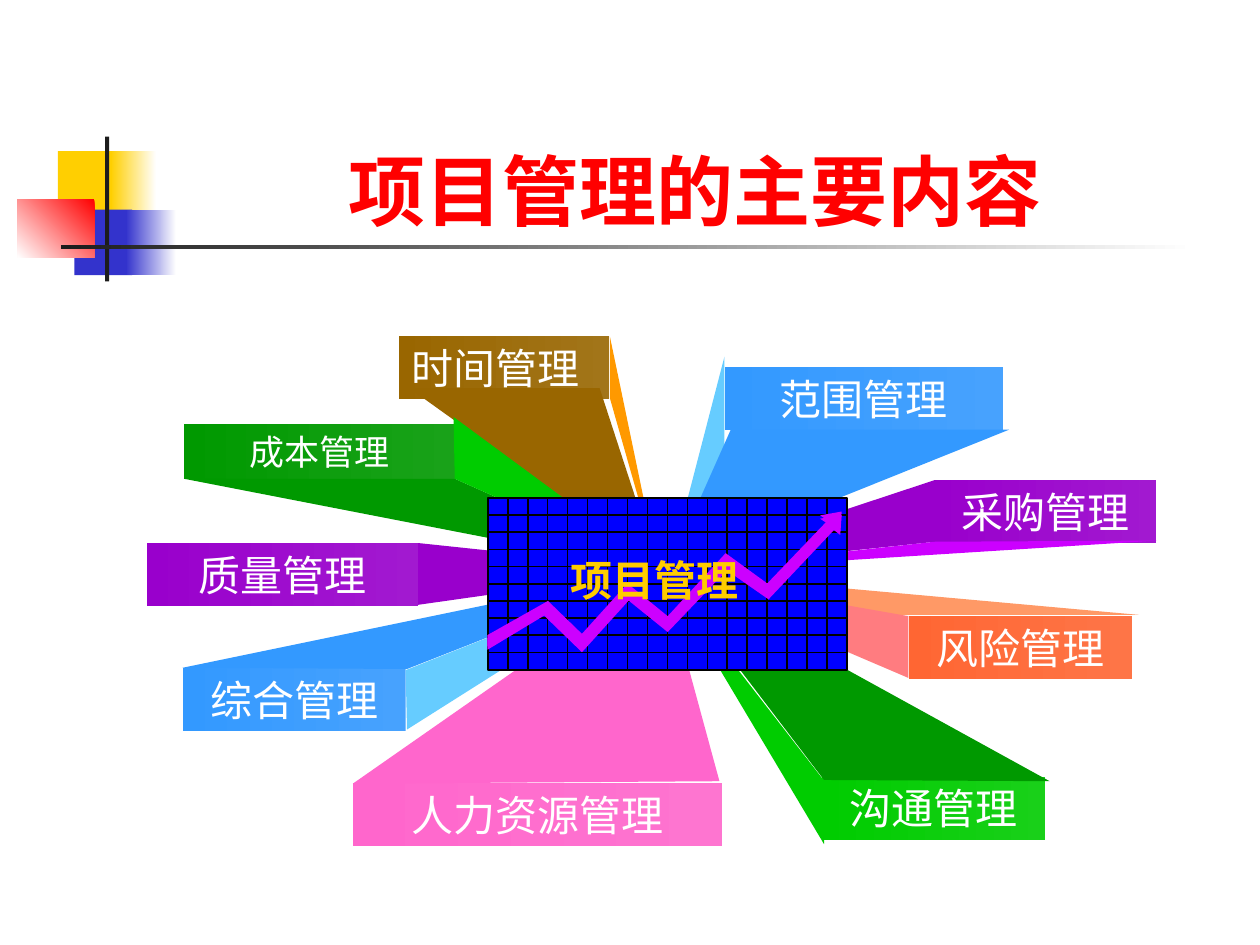
import pptx
import pptx.dml.color
import pptx.enum.lang
import pptx.enum.shapes
import pptx.enum.text
import pptx.util
from lxml import etree

Pt = pptx.util.Pt
ALIGN = pptx.enum.text.PP_ALIGN
ANCHOR = pptx.enum.text.MSO_ANCHOR
FIT = pptx.enum.text.MSO_AUTO_SIZE
RECT = pptx.enum.shapes.MSO_SHAPE.RECTANGLE
STRAIGHT = pptx.enum.shapes.MSO_CONNECTOR.STRAIGHT
CHINESE = pptx.enum.lang.MSO_LANGUAGE_ID.SIMPLIFIED_CHINESE


def paint(shape, *hues, angle=180):
    """Fill with one colour, or with a gradient between two."""
    shape.shadow.inherit = False
    shape.line.fill.background()
    if len(hues) == 1:
        shape.fill.solid()
        shape.fill.fore_color.rgb = pptx.dml.color.RGBColor.from_string(hues[0])
        return
    shape.fill.gradient()
    shape.fill.gradient_angle = angle
    for stop, hue in zip(shape.fill.gradient_stops, hues):
        stop.color.rgb = pptx.dml.color.RGBColor.from_string(hue)


def write(shape, text, size, face, hue, bold=False, align=ALIGN.CENTER):
    para = shape.text_frame.paragraphs[0]
    para.alignment = align
    run = para.add_run()
    run.text = text
    run.font.size = Pt(size)
    run.font.name = face
    run.font.bold = bold
    run.font.language_id = CHINESE
    run.font.color.rgb = pptx.dml.color.RGBColor.from_string(hue)


deck = pptx.Presentation()
deck.slide_width, deck.slide_height = Pt(720), Pt(540)
slide = deck.slides.add_slide(deck.slide_layouts[5])
shapes = slide.shapes

# Corner squares and the rule under the title
decor = [
    (33.1, 86.4, 34.6, 37.4, ["FFCF01"], 180),
    (63.4, 86.4, 25.9, 37.4, ["FFFFFF", "FFCF01"], 180),
    (42.5, 119.8, 33.1, 37.4, ["3333CC"], 180),
    (72, 119.8, 28.8, 37.4, ["FFFFFF", "3333CC"], 180),
    (10, 113.8, 44, 33.4, ["FF0000", "FFFFFF"], 225),
    (60, 78, 2.4, 82.8, ["1C1C1C"], 180),
    (34.8, 140.1, 648, 2.5, ["FFFFFF", "1C1C1C"], 180),
]
for x, y, w, h, hues, angle in decor:
    block = shapes.add_shape(RECT, Pt(x), Pt(y), Pt(w), Pt(h))
    paint(block, *hues, angle=angle)

title = shapes.title
title.left, title.top, title.width, title.height = Pt(90.7), Pt(48.2), Pt(613.4), Pt(90)
title.text_frame.vertical_anchor = ANCHOR.BOTTOM
write(title, "项目管理的主要内容", 44, "Lato", "FF0000", bold=True)

# Topic labels
ROMAN, SANS = "Times New Roman", "Noto Sans CJK SC"
labels = [
    ("时间管理", 228, 192.2, 120.2, "A27519", "996600", ROMAN),
    ("范围管理", 414, 210, 159.1, "47A2FE", "3399FF", ROMAN),
    ("质量管理", 84, 310.3, 154.8, "A219D0", "9900CC", ROMAN),
    ("成本管理", 105.1, 242.4, 154.8, "19A219", "009900", ROMAN),
    ("综合管理", 104.4, 382, 127.4, "47A2FE", "3399FF", ROMAN),
    ("人力资源管理", 201.6, 447.4, 211, "FE75D0", "FF66CC", ROMAN),
    ("采购管理", 533.5, 274.3, 127.4, "A219D0", "9900CC", SANS),
    ("风险管理", 519.5, 352, 127.4, "FE7547", "FF6633", SANS),
    ("沟通管理", 469.8, 443.8, 127.4, "19D019", "00CC00", ROMAN),
]
for text, x, y, w, light, dark, face in labels:
    size, h = (20, 31.2) if text == "成本管理" else (24, 36)
    label = shapes.add_shape(RECT, Pt(x), Pt(y), Pt(w), Pt(h))
    paint(label, light, dark)
    label.text_frame.word_wrap = True
    label.text_frame.auto_size = FIT.SHAPE_TO_FIT_TEXT
    label.text_frame.vertical_anchor = ANCHOR.TOP
    align = ALIGN.LEFT if text == "时间管理" else ALIGN.CENTER
    write(label, text, size, face, "FFFFFF", align=align)

# Rays from the labels to the centre, then the trend arrow
rays = [
    ("996600", [(234, 221.8), (342.7, 221.8), (375.8, 323.3)]),
    ("FF9900", [(348.5, 192.2), (348.5, 227.5), (375.8, 323.3)]),
    ("66CCFF", [(414, 203.8), (414, 258.5), (383, 323.3)]),
    ("3399FF", [(417.6, 245.5), (383, 323.3), (576.7, 245.5)]),
    ("9900CC", [(534.2, 274.3), (534.2, 309.6), (377.3, 326.2)]),
    ("CC00FF", [(661, 308.9), (377.3, 326.9), (534.2, 309.6)]),
    ("FF9966", [(379.4, 326.9), (650.9, 351.4), (487.4, 351.4)]),
    ("FF7C80", [(379.4, 327.6), (519.1, 352.1), (519.1, 387.4)]),
    ("009900", [(105.1, 273.6), (259.9, 273.6), (379.4, 326.9)]),
    ("00CC00", [(259.2, 238.3), (379.4, 326.9), (259.9, 273.6)]),
    ("9900CC", [(239, 310.3), (381.6, 325.4), (239, 345.6)]),
    ("3399FF", [(104.4, 381.6), (379.4, 324.7), (232.6, 382.3)]),
    ("66CCFF", [(377.3, 325.4), (231.8, 383), (232.6, 416.9)]),
    ("FF66CC", [(201.6, 447.8), (378, 324.7), (411.1, 446.4)]),
    ("00CC00", [(377.3, 325.4), (470.9, 482.4), (471.6, 447.1)]),
    ("009900", [(378.7, 324.7), (599.8, 446.4), (470.9, 445.7)]),
]
trend = [
    (278.6, 362.9), (313.2, 343.4), (332.6, 362.2), (358.6, 333.4), (381.6, 352.1),
    (414.7, 316.1), (438.5, 333.4), (473, 297.4), (468.7, 294.5), (481, 292.3),
    (480.2, 303.8), (476.6, 301), (439.2, 340.6), (415.4, 324), (381.6, 359.3),
    (359.3, 341.3), (332.6, 370.8), (311, 349.9), (278.6, 369.4),
]
arrows = [("CC00FF", [(x, y + drop) for x, y in trend]) for drop in (1.9, 0)]

left, top, wide, high = 278.7, 284.5, 205.4, 98.2
cols, rows = 18, 10
for hue, dots in rays + arrows:
    if dots is arrows[0][1]:
        # The gridded panel lies above the rays and below the arrow
        panel = shapes.add_shape(RECT, Pt(left), Pt(top), Pt(wide), Pt(high))
        paint(panel, "0000FF")
        grid = [(left + wide * i / cols, top, left + wide * i / cols, top + high, i * 2 == cols, 0, 2)
                for i in range(1, cols)]
        grid += [(left, top + high * i / rows, left + wide, top + high * i / rows, i * 2 == rows, 1, 3)
                 for i in range(1, rows)]
        edges = [panel]
        for x1, y1, x2, y2, mid, start, end in grid:
            rule = shapes.add_connector(STRAIGHT, Pt(x1), Pt(y1), Pt(x2), Pt(y2))
            if mid:
                rule.begin_connect(panel, start)
                rule.end_connect(panel, end)
            edges.append(rule)
        for edge in edges:
            edge.line.width = Pt(1)
            edge.line.color.rgb = pptx.dml.color.RGBColor.from_string("000000")
        for rule in edges[1:]:
            etree.SubElement(rule._element.spPr, pptx.oxml.ns.qn("a:effectLst"))
    first, *rest = [(Pt(x), Pt(y)) for x, y in dots]
    pen = shapes.build_freeform(*first)
    pen.add_line_segments(rest, close=True)
    paint(pen.convert_to_shape(), hue)

core = shapes.add_textbox(Pt(319), Pt(313.2), Pt(110.9), Pt(36))
core.text_frame.word_wrap = False
core.text_frame.auto_size = FIT.SHAPE_TO_FIT_TEXT
write(core, "项目管理", 24, SANS, "FFCC00", bold=True, align=ALIGN.LEFT)

deck.save("out.pptx")
